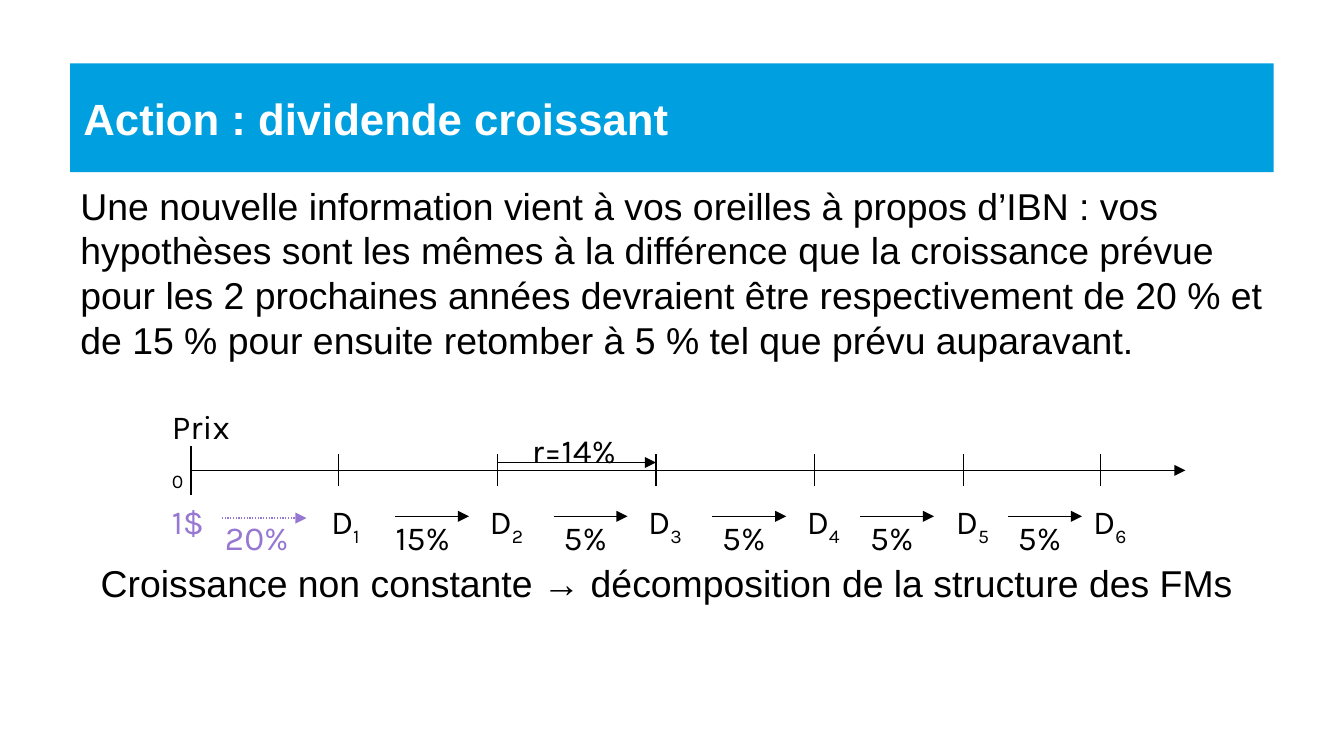
from lxml import etree
from pptx import Presentation
from pptx.dml.color import RGBColor as Rgb
from pptx.enum.dml import MSO_LINE as Dash
from pptx.enum.shapes import MSO_CONNECTOR as Link, MSO_SHAPE as Shape
from pptx.enum.text import MSO_ANCHOR as Anchor, PP_ALIGN as Align
from pptx.oxml.ns import qn
from pptx.util import Inches, Pt

COLORS = {"band": "009FDF", "white": "FFFFFF", "ink": "000000", "past": "9678D3"}
UNIT = Inches(0.1)
COLUMNS, ROWS = 100, 56.25


def add_line(x1, y1, x2, y2, color="ink", weight=0.75, arrow=False):
    line = slide.shapes.add_connector(
        Link.STRAIGHT, *(round(v * UNIT) for v in (x1, y1, x2, y2)))
    line.line.color.rgb = Rgb.from_string(COLORS[color])
    line.line.width = Pt(weight)
    if arrow:
        etree.SubElement(line.line._get_or_add_ln(), qn("a:tailEnd"), type="triangle")
    etree.SubElement(line._element.spPr, qn("a:effectLst"))
    return line


def add_label(x, y, width, text, sub="", color="ink", stacked=False):
    label = slide.shapes.add_textbox(
        *(round(v * UNIT) for v in (x, y, width, 4)))
    label.text_frame.word_wrap = True
    paragraph = label.text_frame.paragraphs[0]
    for part in filter(None, (text, sub)):
        if part == sub and stacked:
            paragraph.add_line_break()
        run = paragraph.add_run()
        run.text = part
        run.font.name, run.font.size = "Karla", Pt(18)
        run.font.color.rgb = Rgb.from_string(COLORS[color])
        if part == sub:
            run.font._element.set("baseline", "-25000")


deck = Presentation()
deck.slide_width, deck.slide_height = round(COLUMNS * UNIT), round(ROWS * UNIT)
slide = deck.slides.add_slide(deck.slide_layouts[6])

band = slide.shapes.add_shape(
    Shape.RECTANGLE, *(round(v * UNIT) for v in (5.23, 4.72, 89.55, 8.1)))
band.shadow.inherit = False
band.fill.solid()
band.fill.fore_color.rgb = Rgb.from_string(COLORS["band"])
band.line.fill.background()
band.text_frame.vertical_anchor = Anchor.MIDDLE
heading = band.text_frame.paragraphs[0]
heading.alignment = Align.LEFT
title = heading.add_run()
title.text = "Action : dividende croissant"
title.font.name, title.font.size, title.font.bold = "Arial", Pt(23.4), True
title.font.color.rgb = Rgb.from_string(COLORS["white"])

body = slide.shapes.add_textbox(
    *(round(v * UNIT) for v in (5, 13.1, 92.2, 39.8))).text_frame
body.word_wrap = True
hypothesis, conclusion = body.paragraphs[0], body.add_paragraph()
conclusion.space_before = Pt(106)
conclusion._p.get_or_add_pPr().set("marL", str(round(1.5 * UNIT)))
for paragraph, wording in (
    (hypothesis, "Une nouvelle information vient à vos oreilles à propos d’IBN : "
                 "vos hypothèses sont les mêmes à la différence que la croissance "
                 "prévue pour les 2 prochaines années devraient être respectivement "
                 "de 20 % et de 15 % pour ensuite retomber à 5 % tel que prévu "
                 "auparavant."),
    (conclusion, "Croissance non constante → décomposition de la structure des FMs"),
):
    run = paragraph.add_run()
    run.text = wording
    run.font.name, run.font.size = "Arial", Pt(20)
    run.font.color.rgb = Rgb.from_string(COLORS["ink"])

today, axis = 14.2, 35
years = [25.2, 37, 48.8, 60.6, 71.7, 81.9]

add_line(today, axis, 88.2, axis, arrow=True)
add_line(today, axis - 1.8, today, axis + 1.8, weight=1)
add_label(11.8, 29.7, 7.1, "Prix", "0", stacked=True)
for number, year in enumerate(years, 1):
    add_line(year, axis - 1.2, year, axis + 1.2)
    add_label(year - 1.55, 36.8, 4.6, "D", str(number))

add_line(years[1], 34.42, years[2], 34.42, arrow=True)
add_label(38.6, 31.5, 10, "r=14%")

add_label(11.8, 36.8, 4.8, "1$", color="past")
past_growth = add_line(16.5, 38.55, 22.8, 38.55, color="past", arrow=True)
past_growth.line.dash_style = Dash.ROUND_DOT
add_label(15.75, 38, 7.3, "20%", color="past")

growth_starts = [29.4, 41.2, 53, 64, 75]
for start, rate in zip(growth_starts, ["15%"] + ["5%"] * 4):
    width = 7.3 if rate == "15%" else 5.9
    add_line(start, 38.42, start + 5.5, 38.42, arrow=True)
    add_label(start + (5.4 - width) / 2, 38, width, rate)

deck.save("out.pptx")
